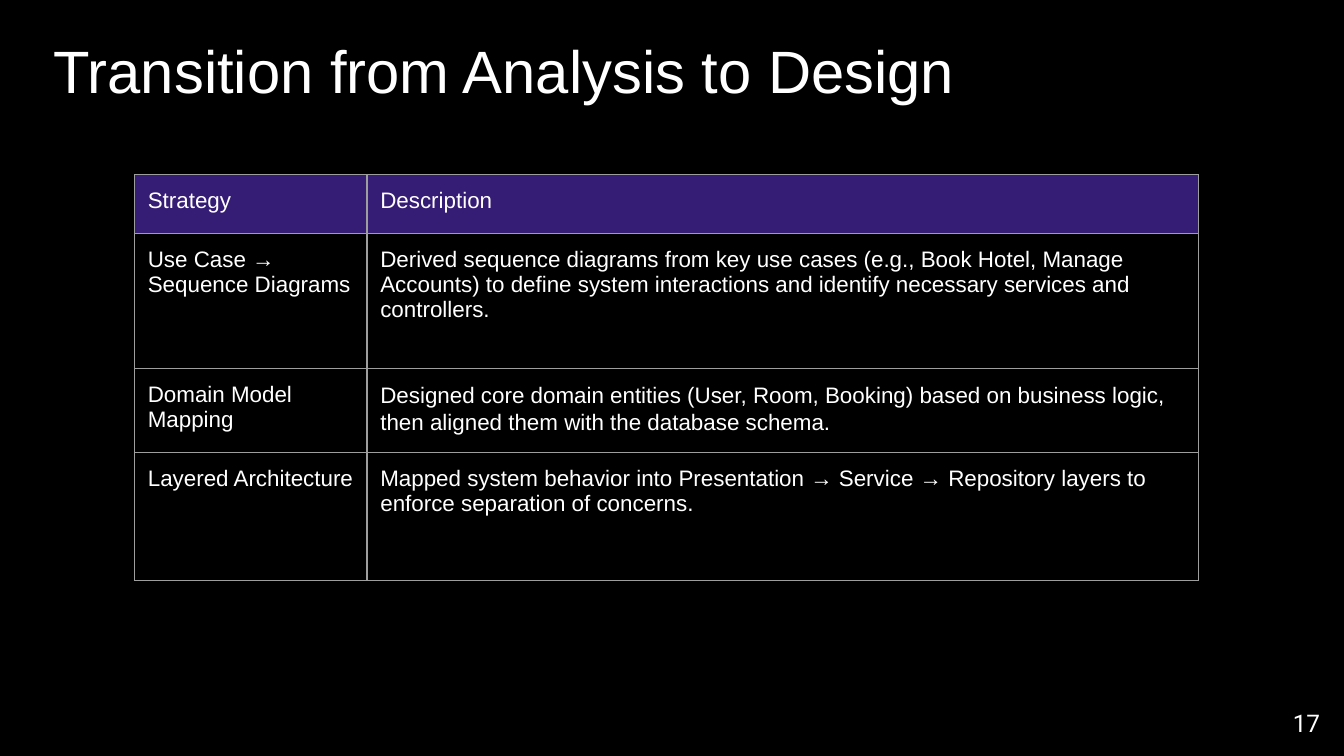
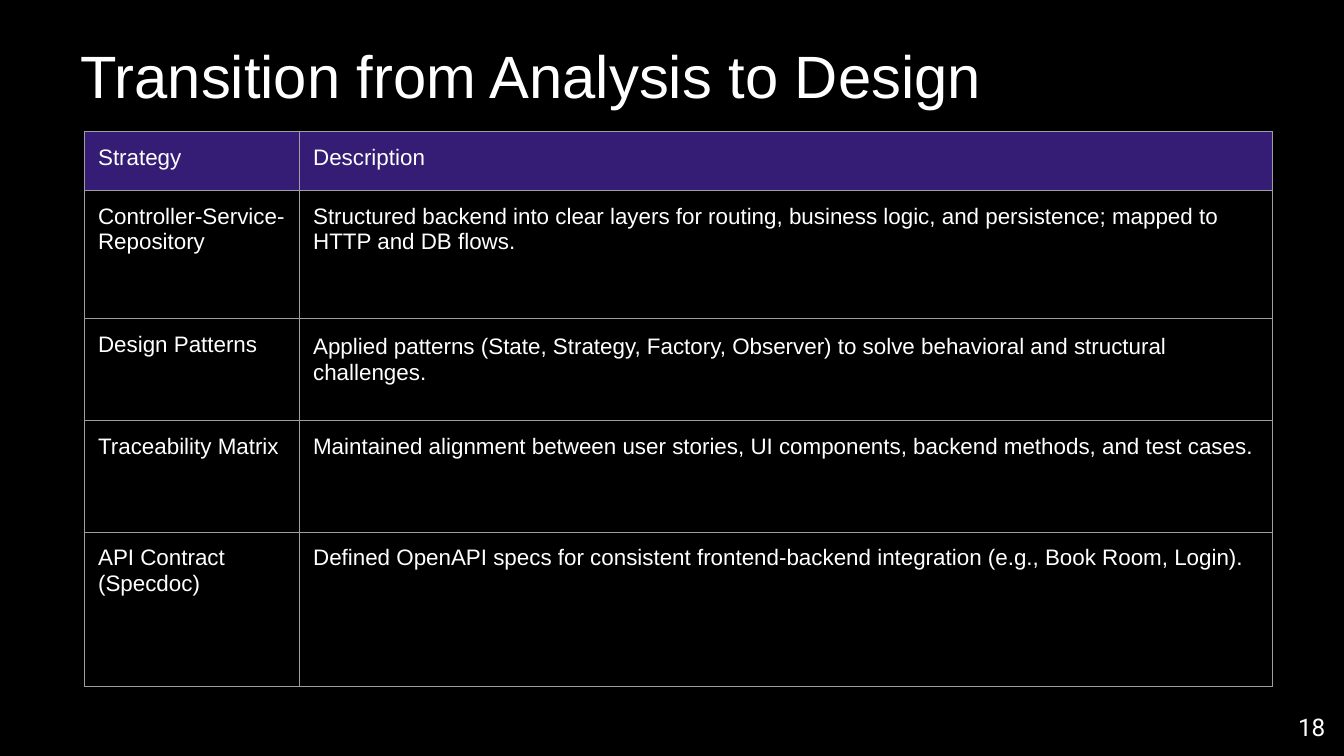
from lxml.etree import SubElement
from pptx import Presentation
from pptx.dml.color import RGBColor
from pptx.enum.text import MSO_ANCHOR, PP_ALIGN
from pptx.oxml.ns import qn
from pptx.util import Inches, Pt

BLACK, WHITE, PURPLE, GREY = "000000", "FFFFFF", "351C75", "9E9E9E"
WIDTH = Inches(10)
TITLE = "Transition from Analysis to Design"
HEAD = ("Strategy", "Description")
PAD = {"margin_" + side: Inches(0.1) for side in ("left", "right", "top", "bottom")}
FONTS = {
    "title": {"name": "Arial", "size": Pt(32)},
    "cell": {"name": "Arial", "size": Pt(12)},
    "page": {"name": "Roboto", "size": Pt(13)},
}
LOOSE = {"line_spacing": 1.07, "space_after": Pt(8)}
LOOSE_ROW = 2

SLIDES = [
    {
        "page": ("17", (9.32, 5.16, 0.6, 0.43)),
        "title": (0.3, 0.15, 9.32, 0.63),
        "grid": (1, 1.3),
        "cols": (1.73, 6.19),
        "rows": (0.44, 1, 0.43, 0.95),
        "data": [
            ("Use Case → Sequence Diagrams",
             "Derived sequence diagrams from key use cases (e.g., Book Hotel, Manage "
             "Accounts) to define system interactions and identify necessary services "
             "and controllers."),
            ("Domain Model Mapping",
             "Designed core domain entities (User, Room, Booking) based on business "
             "logic, then aligned them with the database schema."),
            ("Layered Architecture",
             "Mapped system behavior into Presentation → Service → Repository layers "
             "to enforce separation of concerns."),
        ],
    },
    {
        "page": ("18", (9.36, 5.19, 0.6, 0.43)),
        "title": (0.5, 0.19, 9.32, 0.63),
        "grid": (0.63, 0.98),
        "cols": (1.6, 7.24),
        "rows": (0.44, 0.95, 0.76, 0.83, 1.15),
        "data": [
            ("Controller-Service-Repository",
             "Structured backend into clear layers for routing, business logic, and "
             "persistence; mapped to HTTP and DB flows."),
            ("Design Patterns",
             "Applied patterns (State, Strategy, Factory, Observer) to solve "
             "behavioral and structural challenges."),
            ("Traceability Matrix",
             "Maintained alignment between user stories, UI components, backend "
             "methods, and test cases."),
            ("API Contract (Specdoc)",
             "Defined OpenAPI specs for consistent frontend-backend integration "
             "(e.g., Book Room, Login)."),
        ],
    },
]


def color(code):
    """Turn a hex string into a colour."""
    return RGBColor.from_string(code)


def apply(item, form):
    """Set each attribute in a dict of format values."""
    for key, value in form.items():
        setattr(item, key, value)


def write(frame, text, kind, form=None):
    """Put one styled paragraph in a text frame."""
    para = frame.paragraphs[0]
    apply(para, form or {})
    run = para.add_run()
    run.text = text
    apply(run.font, FONTS[kind])
    run.font.color.rgb = color(WHITE)


def label(slide, box, text, kind, anchor=MSO_ANCHOR.TOP, form=None):
    """Add a padded text box."""
    frame = slide.shapes.add_textbox(*map(Inches, box)).text_frame
    apply(frame, PAD | {"word_wrap": True, "vertical_anchor": anchor})
    write(frame, text, kind, form)


def border(cell):
    """Draw a thin grey line on each side of a cell."""
    props = cell._tc.get_or_add_tcPr()
    for side in "LRTB":
        line = SubElement(props, qn("a:ln" + side), w=str(Pt(0.75)))
        fill = SubElement(line, qn("a:solidFill"))
        SubElement(fill, qn("a:srgbClr"), val=GREY)


def grid(slide, spot, cols, rows, data):
    """Add the strategy table with its header row."""
    box = (*spot, sum(cols), sum(rows))
    table = slide.shapes.add_table(len(rows), len(cols), *map(Inches, box)).table
    apply(table, {"first_row": False, "horz_banding": False})
    for col, width in zip(table.columns, cols):
        col.width = Inches(width)
    for row, high in zip(table.rows, rows):
        row.height = Inches(high)
    for r, texts in enumerate([HEAD, *data]):
        for c, text in enumerate(texts):
            cell = table.cell(r, c)
            apply(cell, PAD)
            border(cell)
            if r == 0:
                cell.fill.solid()
                cell.fill.fore_color.rgb = color(PURPLE)
            else:
                cell.fill.background()
            write(cell.text_frame, text, "cell", LOOSE if (r, c) == (LOOSE_ROW, 1) else None)


def build(deck, plan):
    """Add one black slide with title, table and page number."""
    slide = deck.slides.add_slide(deck.slide_layouts[6])
    slide.background.fill.solid()
    slide.background.fill.fore_color.rgb = color(BLACK)
    page, box = plan["page"]
    label(slide, box, page, "page", MSO_ANCHOR.MIDDLE, {"alignment": PP_ALIGN.RIGHT})
    label(slide, plan["title"], TITLE, "title")
    grid(slide, plan["grid"], plan["cols"], plan["rows"], plan["data"])


def main():
    """Build and save the deck."""
    deck = Presentation()
    apply(deck, {"slide_width": WIDTH, "slide_height": WIDTH * 9 // 16})
    for plan in SLIDES:
        build(deck, plan)
    deck.save("out.pptx")


if __name__ == "__main__":
    main()
